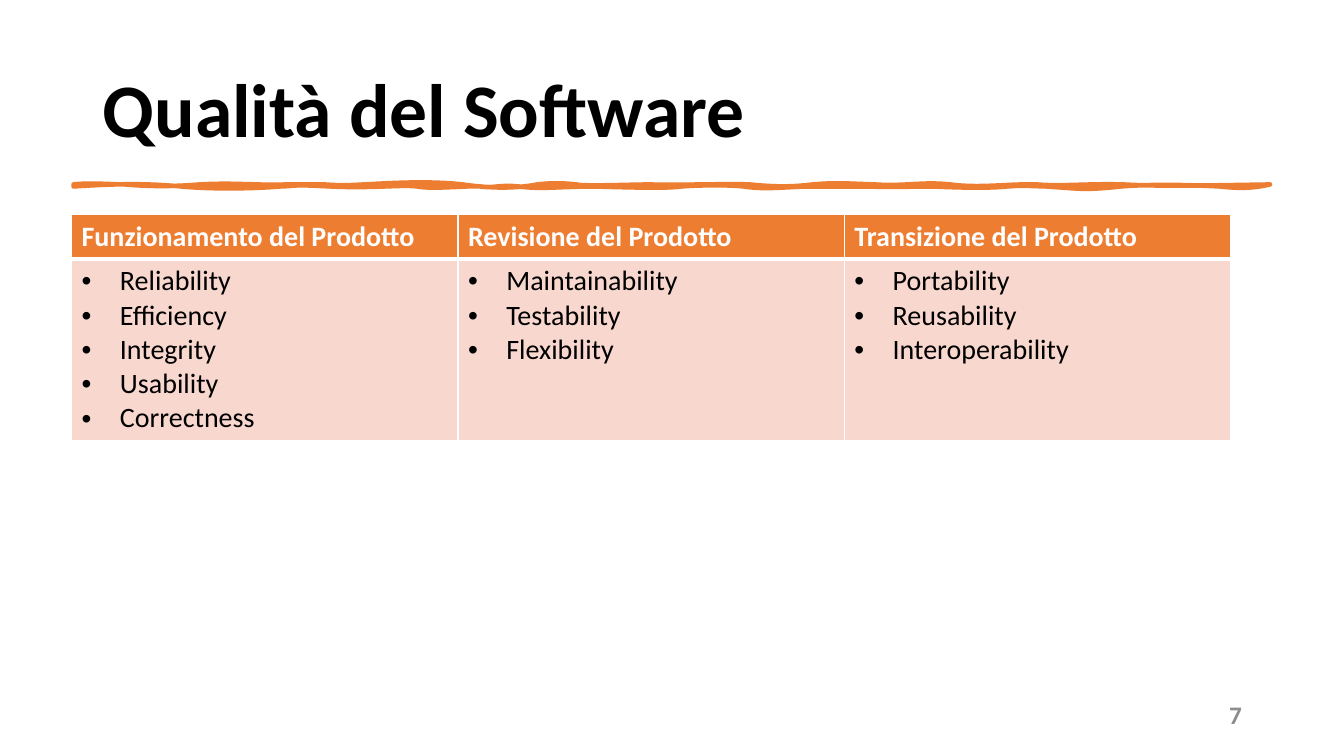
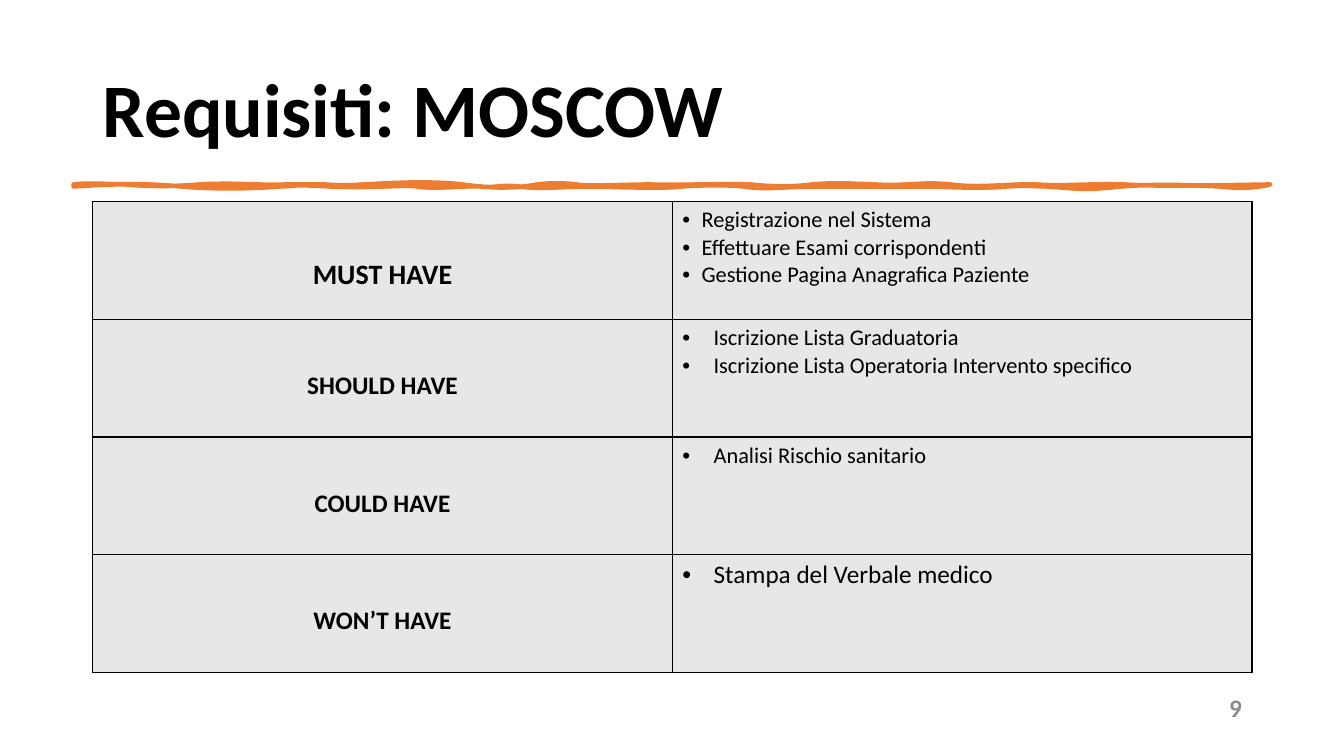
from dataclasses import dataclass

from lxml.etree import SubElement
from pptx import Presentation
from pptx.dml.color import RGBColor
from pptx.enum.text import MSO_ANCHOR as Anchor, PP_ALIGN as Align
from pptx.oxml.ns import qn
from pptx.util import Emu, Pt


@dataclass(frozen=True)
class Theme:
    """Colours, font and type sizes of the deck."""
    font: str = "Calibri"
    ink: str = "000000"
    paper: str = "FFFFFF"
    accent: str = "ED7D31"
    tint: str = "F8D7CE"
    panel: str = "E7E7E7"
    muted: str = "8C8C8C"
    title: int = 54
    large: int = 20
    medium: int = 18
    small: int = 16
    brush: float = 3.25
    hairline: int = 1
    rule: int = 3


THEME = Theme()
EMU_PER_PX = 9144
PAGE_HEIGHT = 750
TITLE_BOX = (92, 40, 1150, 145)
STROKE_BOX = (73, 183, 1187, 2)

UPPER_EDGE = [
    (16, -2, 38, 0, 51), (63, 1, 89, 3, 125), (161, -2, 178, 1, 211),
    (244, 0, 234, 0, 249), (265, 1, 269, 1, 288), (307, -1, 351, -4, 386),
    (421, 5, 444, 3, 460), (476, -2, 490, -1, 499), (508, 2, 552, 0, 573),
    (594, 1, 650, -1, 671), (692, 2, 709, 3, 733), (757, -2, 765, -1, 795),
    (826, 2, 841, -3, 870), (899, 4, 929, -1, 956), (982, 2, 1005, -1, 1042),
    (1078, 2, 1126, 1, 1187),
]
LOWER_EDGE = [
    (1169, 2, 1157, 2, 1137), (1117, -1, 1076, -3, 1039), (1002, 4, 997, 2, 965),
    (932, -1, 945, -1, 926), (907, 2, 875, 1, 852), (829, 0, 811, 1, 790),
    (768, 0, 755, 0, 727), (700, 1, 684, 3, 665), (646, -2, 615, -1, 603),
    (590, 2, 551, 1, 517), (482, 0, 464, 3, 442), (421, -2, 418, 2, 404),
    (390, -1, 357, 3, 341), (326, -2, 298, 2, 255), (213, -2, 230, -1, 205),
    (180, 2, 140, 3, 107), (74, -3, 45, -3, 0),
]

QUALITIES = {
    "Funzionamento del Prodotto": [
        "Reliability", "Efficiency", "Integrity", "Usability", "Correctness"],
    "Revisione del Prodotto": ["Maintainability", "Testability", "Flexibility"],
    "Transizione del Prodotto": ["Portability", "Reusability", "Interoperability"],
}
PRIORITIES = [
    ("MUST HAVE", THEME.large, THEME.small, 19, [
        "Registrazione nel Sistema",
        "Effettuare Esami corrispondenti",
        "Gestione Pagina Anagrafica Paziente"]),
    ("SHOULD HAVE", THEME.medium, THEME.small, 31, [
        "Iscrizione Lista Graduatoria",
        "Iscrizione Lista Operatoria Intervento specifico"]),
    ("COULD HAVE", THEME.medium, THEME.small, 31, ["Analisi Rischio sanitario"]),
    ("WON’T HAVE", THEME.medium, THEME.medium, 31, ["Stampa del Verbale medico"]),
]


def px(length):
    """Turn px into EMU."""
    return Emu(round(length * EMU_PER_PX))


def rgb(value):
    """Turn a hex string into a colour."""
    return RGBColor.from_string(value)


def add_bullet(para, indent):
    """Give a paragraph a hanging bullet."""
    props = para._p.get_or_add_pPr()
    props.set("marL", str(px(indent)))
    props.set("indent", str(-px(indent)))
    SubElement(props, qn("a:buFont")).set("typeface", "Arial")
    SubElement(props, qn("a:buChar")).set("char", "•")


def write(frame, lines, size, colour=THEME.ink, bold=False, align=Align.LEFT,
          spacing=None, after=0, indent=0):
    """Write one paragraph for each line into a text frame."""
    for index, line in enumerate(lines):
        para = frame.add_paragraph() if index else frame.paragraphs[0]
        para.text = line
        if indent:
            add_bullet(para, indent)
        para.alignment = align
        para.space_after = Pt(after)
        if spacing:
            para.line_spacing = spacing
        para.font.name = THEME.font
        para.font.size = Pt(size)
        para.font.bold = bold
        para.font.color.rgb = rgb(colour)


def add_label(page, box, text, size, **style):
    """Place one line of bold text, centred vertically in its box."""
    frame = page.shapes.add_textbox(*map(px, box)).text_frame
    frame.word_wrap = True
    frame.vertical_anchor = Anchor.MIDDLE
    write(frame, [text], size, bold=True, **style)


def bend(segment, controls):
    """Turn a straight path segment into a cubic curve."""
    end = segment[0]
    segment.tag = qn("a:cubicBezTo")
    for x, y in controls:
        SubElement(segment, qn("a:pt"), x=str(px(x)), y=str(px(y)))
    segment.append(end)


def add_brush_stroke(page, box):
    """Draw the wavy rule under the title."""
    left, top, width, height = box
    curves = [(edge, base) for edges, base in ((UPPER_EDGE, 0), (LOWER_EDGE, height))
              for edge in edges]
    builder = page.shapes.build_freeform(px(left), px(top))
    builder.add_line_segments(
        [(px(left + edge[4]), px(top + base)) for edge, base in curves])
    stroke = builder.convert_to_shape()
    segments = list(stroke._element.iter(qn("a:lnTo")))
    for segment, ((ax, ay, bx, by, end), base) in zip(segments, curves):
        bend(segment, [(ax, base + ay), (bx, base + by)])
    stroke.shadow.inherit = False
    stroke.fill.solid()
    stroke.fill.fore_color.rgb = rgb(THEME.accent)
    stroke.line.color.rgb = rgb(THEME.accent)
    stroke.line.width = Pt(THEME.brush)


def paint_cell(cell, fill, border, top=THEME.hairline, bottom=THEME.hairline):
    """Set the borders and the fill of a table cell."""
    props = cell._tc.get_or_add_tcPr()
    widths = {"L": THEME.hairline, "R": THEME.hairline, "T": top, "B": bottom}
    for side, width in widths.items():
        line = SubElement(props, qn(f"a:ln{side}"), w=str(Pt(width)))
        SubElement(SubElement(line, qn("a:solidFill")), qn("a:srgbClr"), val=border)
    cell.fill.solid()
    cell.fill.fore_color.rgb = rgb(fill)


def add_grid(page, box, heights, columns):
    """Add a plain table with equal columns and the given row heights."""
    table = page.shapes.add_table(len(heights), columns, *map(px, box)).table
    table.first_row = table.horz_banding = False
    for column in table.columns:
        column.width = px(box[2] / columns)
    for row, height in zip(table.rows, heights):
        row.height = px(height)
    return table


def add_quality_table(page, box):
    """Place the quality factors under their headings."""
    table = add_grid(page, box, [44, box[3] - 44], len(QUALITIES))
    for column, (heading, factors) in enumerate(QUALITIES.items()):
        head, body = table.cell(0, column), table.cell(1, column)
        paint_cell(head, THEME.accent, THEME.paper, bottom=THEME.rule)
        paint_cell(body, THEME.tint, THEME.paper, top=THEME.rule)
        write(head.text_frame, [heading], THEME.large, THEME.paper, bold=True)
        write(body.text_frame, factors, THEME.large, indent=38)


def add_priority_table(page, box):
    """Place each priority beside its requirements."""
    rows = len(PRIORITIES)
    table = add_grid(page, box, [box[3] / rows] * rows, 2)
    for row, (name, name_size, size, indent, needs) in enumerate(PRIORITIES):
        label, detail = table.cell(row, 0), table.cell(row, 1)
        for cell in (label, detail):
            paint_cell(cell, THEME.panel, THEME.ink)
        write(label.text_frame, [name], name_size, bold=True,
              align=Align.CENTER, spacing=2.5)
        write(detail.text_frame, needs, size, indent=indent)


def add_page(deck, title, number, number_box, add_content, content_box):
    """Build a page with title, wavy rule, content and page number."""
    page = deck.slides.add_slide(deck.slide_layouts[6])
    add_label(page, TITLE_BOX, title, THEME.title, spacing=0.9)
    add_brush_stroke(page, STROKE_BOX)
    add_content(page, content_box)
    add_label(page, number_box, number, THEME.medium, colour=THEME.muted,
              align=Align.RIGHT, after=6)


def main():
    """Build and save the deck."""
    deck = Presentation()
    deck.slide_height = px(PAGE_HEIGHT)
    deck.slide_width = Emu(deck.slide_height * 16 // 9)
    add_page(deck, "Qualità del Software", "7", (942, 683, 300, 52),
             add_quality_table, (71, 213, 1150, 224))
    add_page(deck, "Requisiti: MOSCOW", "9", (942, 669, 300, 66),
             add_priority_table, (92, 200, 1150, 467))
    deck.save("out.pptx")


if __name__ == "__main__":
    main()
